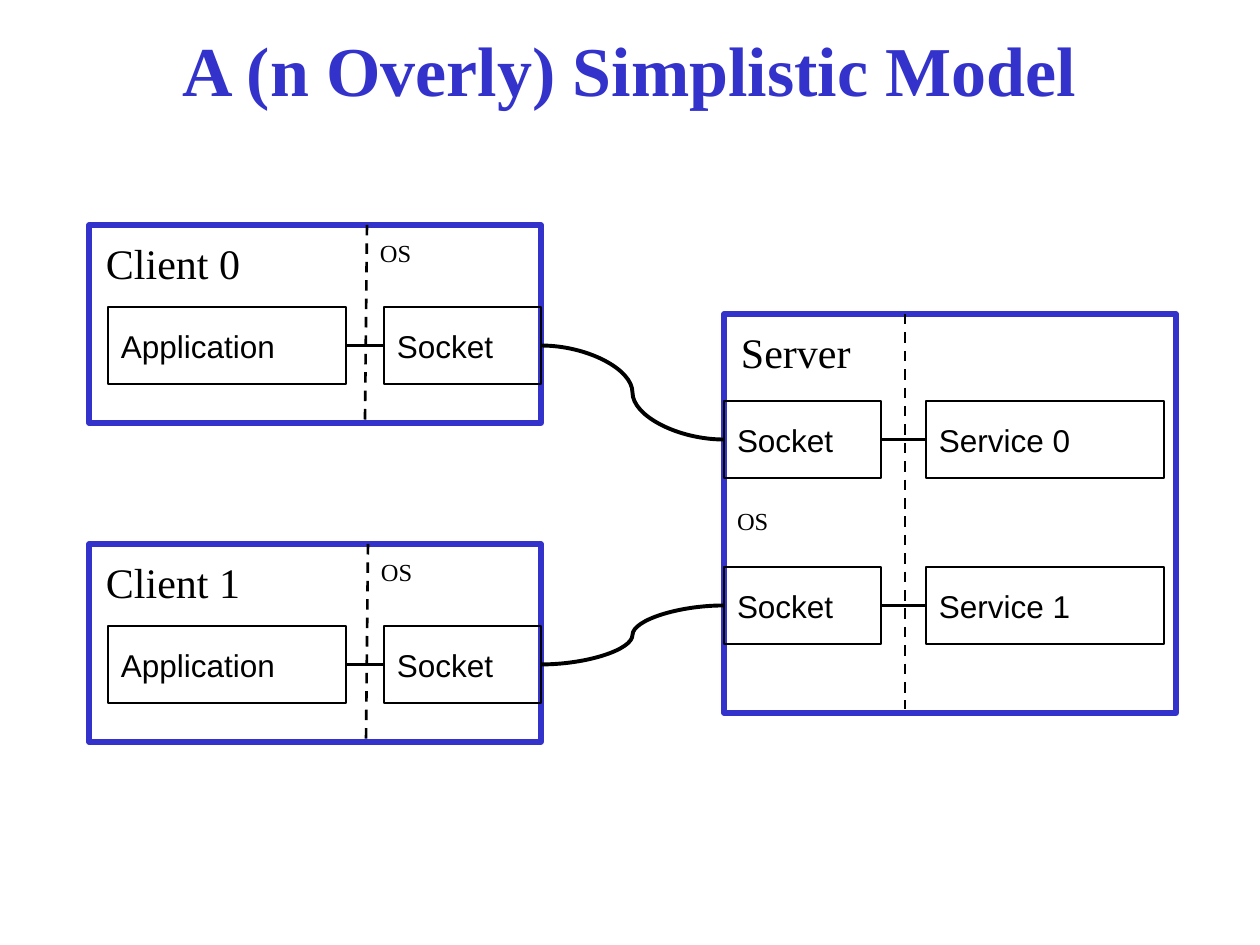
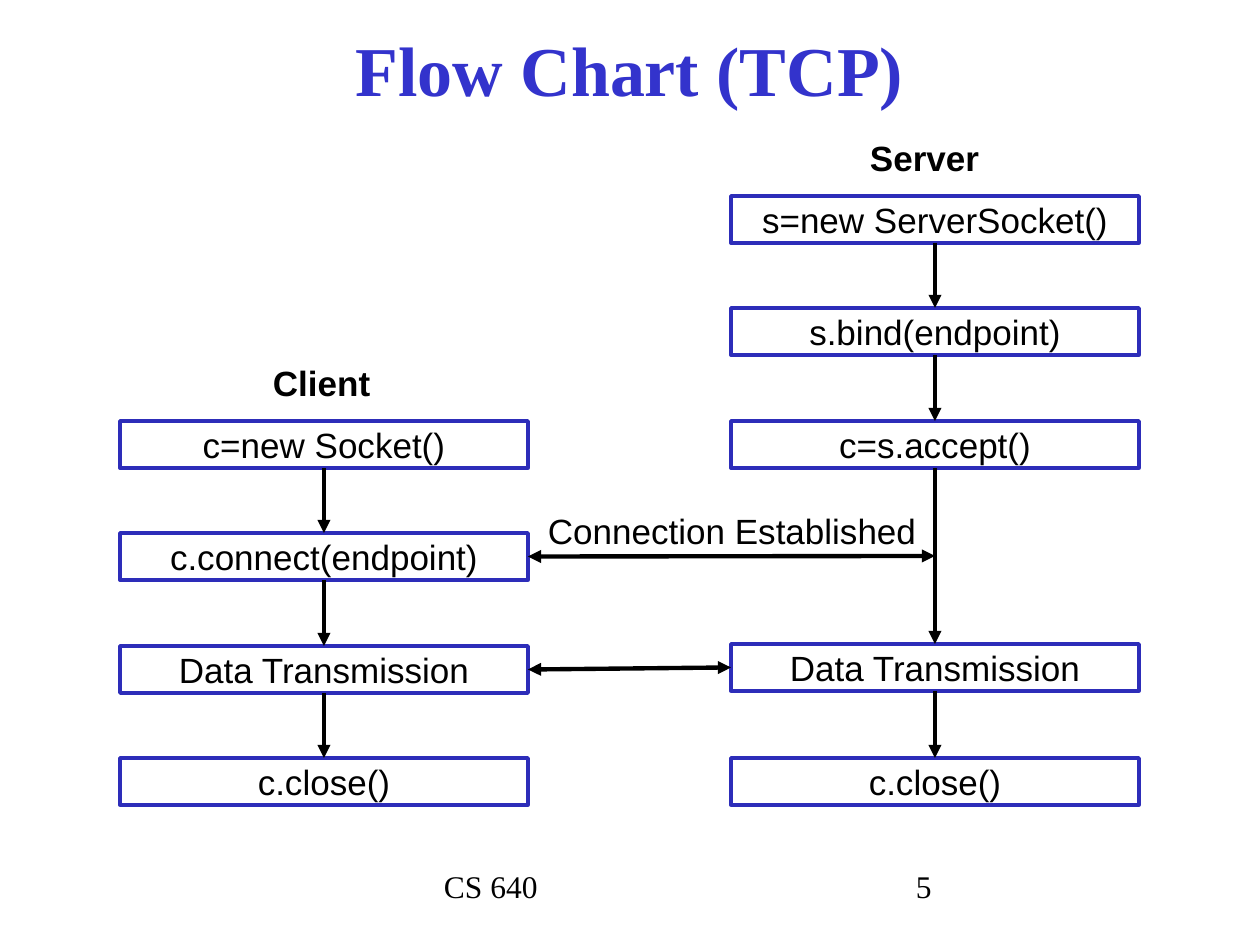
from lxml import etree
from pptx import Presentation
from pptx.dml.color import RGBColor
from pptx.enum.dml import MSO_LINE
from pptx.enum.shapes import MSO_CONNECTOR, MSO_SHAPE
from pptx.enum.text import MSO_ANCHOR, MSO_AUTO_SIZE, PP_ALIGN
from pptx.oxml.ns import qn
from pptx.util import Pt

EMU_PER_PX = 914400 / 126
SLIDE_WIDTH, SLIDE_HEIGHT = 1260, 945
TITLE_ONLY_LAYOUT = 5

TITLE_BLUE = RGBColor(0x33, 0x33, 0xCC)
STEP_BLUE = RGBColor(0x2D, 0x2D, 0xB9)
BLACK = RGBColor(0x00, 0x00, 0x00)
WHITE = RGBColor(0xFF, 0xFF, 0xFF)

SERIF, SANS = "Times New Roman", "Arial"
LEFT, CENTER = PP_ALIGN.LEFT, PP_ALIGN.CENTER
TOP_ANCHOR, MIDDLE_ANCHOR = MSO_ANCHOR.TOP, MSO_ANCHOR.MIDDLE
NO_AUTO_SIZE = MSO_AUTO_SIZE.NONE
RECTANGLE = MSO_SHAPE.RECTANGLE
STRAIGHT, CURVE = MSO_CONNECTOR.STRAIGHT, MSO_CONNECTOR.CURVE
DASH = MSO_LINE.DASH
TOP, LEFT_SIDE, BOTTOM, RIGHT_SIDE = range(4)

WIDE_INSET, SLIM_INSET = 13, 6
TITLE_FONT = {"name": SERIF, "size": Pt(40), "bold": True}
HOST_FONT = {"name": SERIF, "size": Pt(24)}
SYSTEM_FONT = {"name": SERIF, "size": Pt(14)}
FOOTER_FONT = {"name": SERIF, "size": Pt(18)}
PART_FONT = {"name": SANS, "size": Pt(18)}
STEP_FONT = {"name": SANS, "size": Pt(20)}
HEADING_FONT = {**STEP_FONT, "bold": True}

HOST_WIDTH, CLIENT_HEIGHT, SERVER_HEIGHT = 452, 198, 399
PROGRAM_WIDTH, SOCKET_WIDTH, PART_HEIGHT = 238, 157, 77
CLIENT_LEFT, SERVER_LEFT = 89, 724
STEP_WIDTH, STEP_HEIGHT = 408, 47
CLIENT_STEP_LEFT, SERVER_STEP_LEFT = 120, 731
ROW_TOPS = [196 + 1125 * row // 10 for row in range(6)]


def px(*lengths):
    return [round(length * EMU_PER_PX) for length in lengths]


def set_attributes(target, values):
    for name, value in values.items():
        setattr(target, name, value)


def write_text(shape, text, font, color=BLACK, align=LEFT,
               anchor=TOP_ANCHOR, inset=WIDE_INSET):
    side, vertical = px(WIDE_INSET, inset)
    frame = shape.text_frame
    set_attributes(frame, {
        "text": text, "word_wrap": True, "auto_size": NO_AUTO_SIZE,
        "vertical_anchor": anchor, "margin_left": side, "margin_right": side,
        "margin_top": vertical, "margin_bottom": vertical,
    })
    paragraph = frame.paragraphs[0]
    paragraph.alignment = align
    set_attributes(paragraph.font, font)
    paragraph.font.color.rgb = color


def add_titled_slide(presentation, title):
    layout = presentation.slide_layouts[TITLE_ONLY_LAYOUT]
    slide = presentation.slides.add_slide(layout)
    shape = slide.shapes.title
    shape.left, shape.top, shape.width, shape.height = px(94, -10, 1071, 158)
    write_text(shape, title, TITLE_FONT, TITLE_BLUE, CENTER, MIDDLE_ANCHOR)
    return slide


def add_label(slide, box, text, font, inset=WIDE_INSET):
    write_text(slide.shapes.add_textbox(*px(*box)), text, font, inset=inset)


def add_box(slide, box, color, weight, fill=None):
    shape = slide.shapes.add_shape(RECTANGLE, *px(*box))
    shape.shadow.inherit = False
    if fill is None:
        shape.fill.background()
    else:
        shape.fill.solid()
        shape.fill.fore_color.rgb = fill
    shape.line.color.rgb = color
    shape.line.width = Pt(weight)
    return shape


def add_part(slide, left, top, width, text):
    shape = add_box(slide, (left, top, width, PART_HEIGHT), BLACK, 1.5)
    write_text(shape, text, PART_FONT, anchor=MIDDLE_ANCHOR)
    return shape


def add_line(slide, start, end, weight, kind=STRAIGHT, dash=None, arrows=()):
    connector = slide.shapes.add_connector(kind, *px(*start, *end))
    connector.line.color.rgb = BLACK
    connector.line.width = Pt(weight)
    if dash:
        connector.line.dash_style = dash
    properties = connector.element.spPr
    outline = properties.find(qn("a:ln"))
    for arrow in arrows:
        etree.SubElement(outline, qn(f"a:{arrow}"), type="triangle")
    etree.SubElement(properties, qn("a:effectLst"))
    return connector


def join(slide, first, first_side, second, second_side, weight, **style):
    connector = add_line(slide, (0, 0), (0, 0), weight, **style)
    connector.begin_connect(first, first_side)
    connector.end_connect(second, second_side)


def add_host(slide, left, top, height, name):
    add_box(slide, (left, top, HOST_WIDTH, height), TITLE_BLUE, 3)
    add_label(slide, (left + 4, top, 188, 73), name, HOST_FONT)


def add_client(slide, top, name, divider):
    add_host(slide, CLIENT_LEFT, top, CLIENT_HEIGHT, name)
    application = add_part(slide, 108, top + 82, PROGRAM_WIDTH, "Application")
    socket = add_part(slide, 384, top + 82, SOCKET_WIDTH, "Socket")
    join(slide, application, RIGHT_SIDE, socket, LEFT_SIDE, 1.5)
    add_line(slide, (divider, top), (divider - 2, top + CLIENT_HEIGHT), 1.5, dash=DASH)
    add_label(slide, (divider, top, 121, 60), "OS", SYSTEM_FONT)
    return socket


def add_server(slide, top):
    add_host(slide, SERVER_LEFT, top, SERVER_HEIGHT, "Server")
    sockets = []
    for number, part_top in enumerate((401, 567)):
        socket = add_part(slide, SERVER_LEFT, part_top, SOCKET_WIDTH, "Socket")
        service = add_part(slide, 926, part_top, PROGRAM_WIDTH, f"Service {number}")
        join(slide, socket, RIGHT_SIDE, service, LEFT_SIDE, 1.5)
        sockets.append(socket)
    add_line(slide, (905, top), (905, 709), 1.5, dash=DASH)
    add_label(slide, (SERVER_LEFT, 493, 121, 60), "OS", SYSTEM_FONT)
    return sockets


def add_flow(slide, left, steps):
    shapes = []
    for top, text in steps:
        shape = add_box(slide, (left, top, STEP_WIDTH, STEP_HEIGHT), STEP_BLUE, 2, WHITE)
        write_text(shape, text, STEP_FONT, align=CENTER,
                   anchor=MIDDLE_ANCHOR, inset=SLIM_INSET)
        shapes.append(shape)
    for upper, lower in zip(shapes, shapes[1:]):
        join(slide, upper, BOTTOM, lower, TOP, 2.5, arrows=("tailEnd",))
    return shapes


def build_model_slide(presentation):
    slide = add_titled_slide(presentation, "A (n Overly) Simplistic Model")
    client_sockets = [
        add_client(slide, 225, "Client 0", 367),
        add_client(slide, 544, "Client 1", 368),
    ]
    for client, server in zip(client_sockets, add_server(slide, 314)):
        join(slide, client, RIGHT_SIDE, server, LEFT_SIDE, 2.25, kind=CURVE)


def build_flow_slide(presentation):
    slide = add_titled_slide(presentation, "Flow Chart (TCP)")
    client = add_flow(slide, CLIENT_STEP_LEFT, zip(ROW_TOPS[2:], (
        "c=new Socket()", "c.connect(endpoint)", "Data Transmission", "c.close()")))
    server = add_flow(slide, SERVER_STEP_LEFT, (
        (ROW_TOPS[0], "s=new ServerSocket()"),
        (ROW_TOPS[1], "s.bind(endpoint)"),
        (ROW_TOPS[2], "c=s.accept()"),
        (ROW_TOPS[4] - 2, "Data Transmission"),
        (ROW_TOPS[5], "c.close()"),
    ))
    both_ends = ("headEnd", "tailEnd")
    connect_middle = ROW_TOPS[3] + STEP_HEIGHT // 2
    established = add_line(
        slide, (CLIENT_STEP_LEFT + STEP_WIDTH, connect_middle),
        (SERVER_STEP_LEFT + STEP_WIDTH // 2, connect_middle), 2.5, arrows=both_ends)
    established.begin_connect(client[1], RIGHT_SIDE)
    join(slide, client[2], RIGHT_SIDE, server[3], LEFT_SIDE, 2.5, arrows=both_ends)
    for box, text, font in (
        ((535, 503, 430, 55), "Connection Established", STEP_FONT),
        ((260, 355, 127, 55), "Client", HEADING_FONT),
        ((857, 130, 159, 55), "Server", HEADING_FONT),
        ((431, 861, 399, 63), "CS 640", FOOTER_FONT),
        ((903, 861, 262, 63), "5", FOOTER_FONT),
    ):
        add_label(slide, box, text, font, SLIM_INSET)


def main():
    presentation = Presentation()
    presentation.slide_width, presentation.slide_height = px(SLIDE_WIDTH, SLIDE_HEIGHT)
    build_model_slide(presentation)
    build_flow_slide(presentation)
    presentation.save("out.pptx")


if __name__ == "__main__":
    main()
